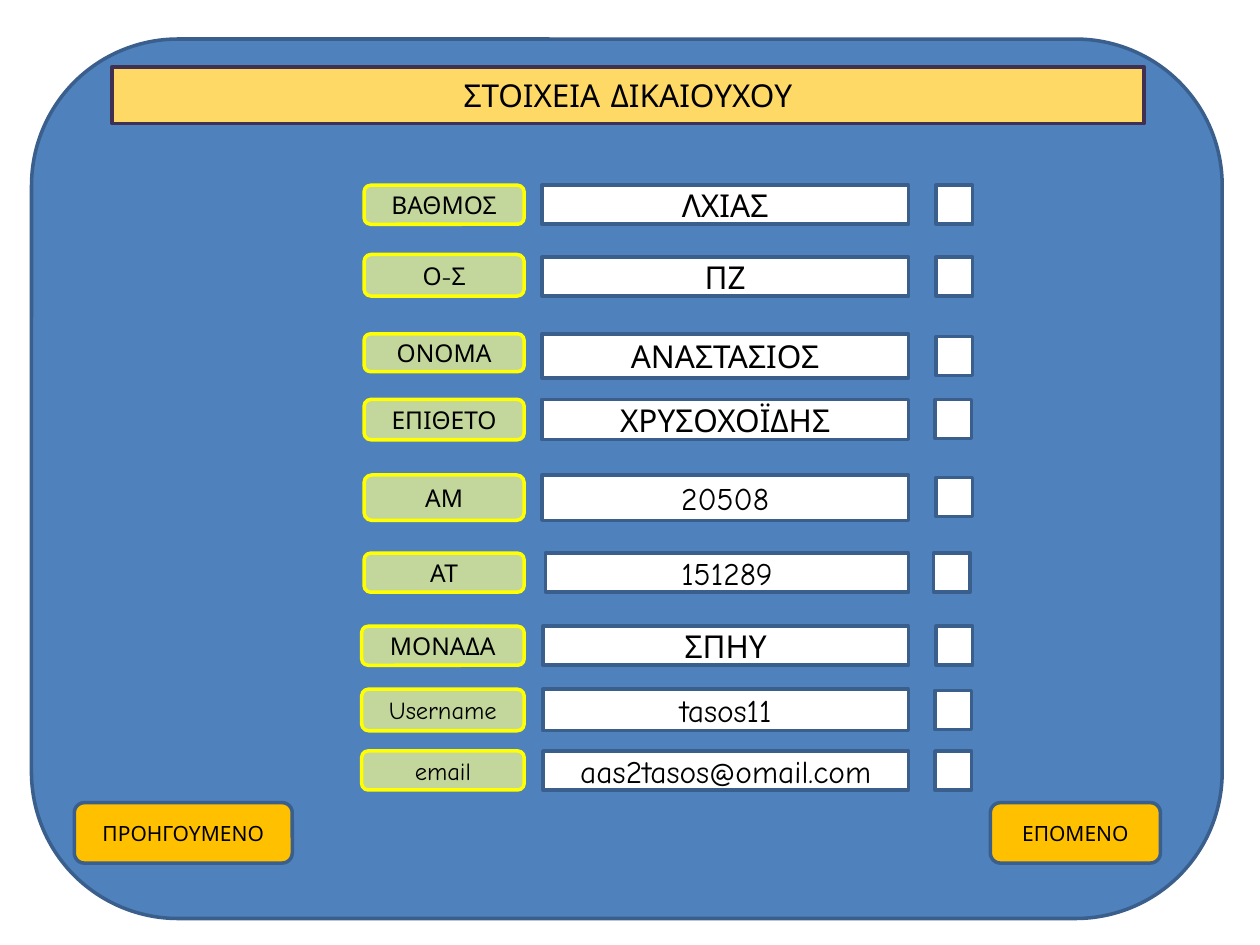
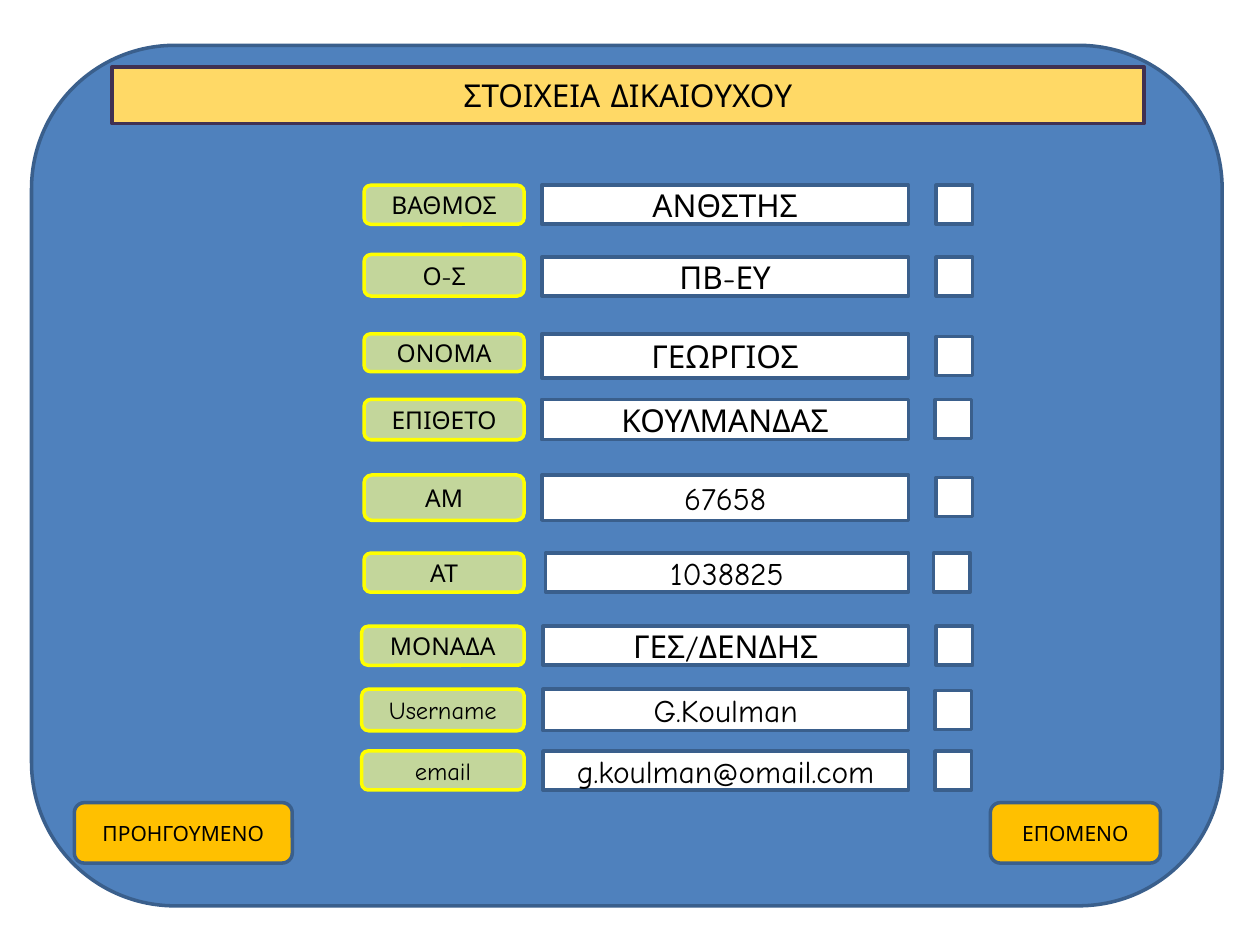
from pptx import Presentation
from pptx.dml.color import RGBColor
from pptx.enum.shapes import MSO_SHAPE
from pptx.enum.text import MSO_ANCHOR, MSO_AUTO_SIZE, PP_ALIGN
from pptx.util import Inches, Pt

RECTANGLE = MSO_SHAPE.RECTANGLE
ROUNDED = MSO_SHAPE.ROUNDED_RECTANGLE
MIDDLE = MSO_ANCHOR.MIDDLE
NO_AUTOFIT = MSO_AUTO_SIZE.NONE
CENTER = PP_ALIGN.CENTER

FONT = "Comic Neue"
TITLE_ONLY = 5
COLORS = {
    "panel": "4F81BD",
    "outline": "3A5F8C",
    "label": "C3D69B",
    "label_outline": "FFFF00",
    "title": "FFD966",
    "title_outline": "403152",
    "button": "FFC000",
    "field": "FFFFFF",
    "text": "000000",
}

TITLE = "ΣΤΟΙΧΕΙΑ ΔΙΚΑΙΟΥΧΟΥ"
LABEL_RIGHT = 4.16
FIELD_RIGHT = 7.21
CHECKBOX_SIZE = (0.29, 0.31)

ROWS = [
    ("ΒΑΘΜΟΣ", (2.89, 1.47, 0.31), (4.3, 1.47, 0.31), (7.43, 1.47)),
    ("Ο-Σ", (2.89, 2.02, 0.33), (4.3, 2.04, 0.31), (7.43, 2.04)),
    ("ΟΝΟΜΑ", (2.89, 2.65, 0.3), (4.3, 2.65, 0.35), (7.43, 2.67)),
    ("ΕΠΙΘΕΤΟ", (2.89, 3.17, 0.32), (4.3, 3.17, 0.32), (7.42, 3.17)),
    ("ΑΜ", (2.89, 3.77, 0.36), (4.3, 3.77, 0.36), (7.43, 3.79)),
    ("ΑΤ", (2.89, 4.39, 0.31), (4.33, 4.39, 0.31), (7.41, 4.39)),
    ("ΜΟΝΑΔΑ", (2.87, 4.97, 0.31), (4.31, 4.97, 0.31), (7.43, 4.97)),
    ("Username", (2.87, 5.47, 0.33), (4.31, 5.47, 0.33), (7.42, 5.48)),
    ("email", (2.87, 5.96, 0.31), (4.31, 5.96, 0.31), (7.42, 5.96)),
]

BENEFICIARIES = [
    {
        "panel": (0.31, 6.98),
        "values": ["ΛΧΙΑΣ", "ΠΖ", "ΑΝΑΣΤΑΣΙΟΣ", "ΧΡΥΣΟΧΟΪΔΗΣ", "20508",
                   "151289", "ΣΠΗΥ", "tasos11", "aas2tasos@omail.com"],
    },
    {
        "panel": (0.36, 6.83),
        "values": ["ΑΝΘΣΤΗΣ", "ΠΒ-ΕΥ", "ΓΕΩΡΓΙΟΣ", "ΚΟΥΛΜΑΝΔΑΣ", "67658",
                   "1038825", "ΓΕΣ/ΔΕΝΔΗΣ", "G.Koulman", "g.koulman@omail.com"],
    },
]


class FormDeck:
    def __init__(self):
        self.deck = Presentation()
        self.deck.slide_width = Inches(10)
        self.deck.slide_height = Inches(7.5)
        self.page = None

    def add_page(self):
        self.page = self.deck.slides.add_slide(self.deck.slide_layouts[TITLE_ONLY])

    def paint(self, shape, fill, outline):
        shape.fill.solid()
        shape.fill.fore_color.rgb = RGBColor.from_string(COLORS[fill])
        shape.line.color.rgb = RGBColor.from_string(COLORS[outline])
        shape.line.width = Pt(2)

    def caption(self, shape, text, size):
        frame = shape.text_frame
        frame.text = text
        frame.word_wrap = True
        frame.auto_size = NO_AUTOFIT
        frame.vertical_anchor = MIDDLE
        para = frame.paragraphs[0]
        para.alignment = CENTER
        para.font.name = FONT
        para.font.size = Pt(size)
        para.font.color.rgb = RGBColor.from_string(COLORS["text"])

    def box(self, kind, left, top, width, height, fill, outline="outline"):
        shape = self.page.shapes.add_shape(
            kind, Inches(left), Inches(top), Inches(width), Inches(height))
        shape.shadow.inherit = False
        self.paint(shape, fill, outline)
        return shape

    def panel(self, top, height):
        self.box(ROUNDED, 0.25, top, 9.45, height, "panel")

    def title(self, text):
        title = self.page.shapes.title
        title.left, title.top = Inches(0.89), Inches(0.53)
        title.width, title.height = Inches(8.19), Inches(0.45)
        self.paint(title, "title", "title_outline")
        self.caption(title, text, 18)
        title.element.getparent().append(title.element)

    def label(self, text, left, top, height):
        shape = self.box(ROUNDED, left, top, LABEL_RIGHT - left, height,
                         "label", "label_outline")
        self.caption(shape, text, 14)

    def field(self, text, left, top, height):
        shape = self.box(RECTANGLE, left, top, FIELD_RIGHT - left, height, "field")
        self.caption(shape, text, 18)

    def checkbox(self, left, top):
        self.box(RECTANGLE, left, top, *CHECKBOX_SIZE, "field")

    def button(self, text, left, width):
        shape = self.box(ROUNDED, left, 6.37, width, 0.48, "button")
        self.caption(shape, text, 12)


def main():
    form = FormDeck()
    for beneficiary in BENEFICIARIES:
        form.add_page()
        form.panel(*beneficiary["panel"])
        form.title(TITLE)
        for (name, label, field, checkbox), value in zip(ROWS, beneficiary["values"]):
            form.label(name, *label)
            form.field(value, *field)
            form.checkbox(*checkbox)
        form.button("ΠΡΟΗΓΟΥΜΕΝΟ", 0.59, 1.73)
        form.button("ΕΠΟΜΕΝΟ", 7.86, 1.35)
    form.deck.save("out.pptx")


if __name__ == "__main__":
    main()
